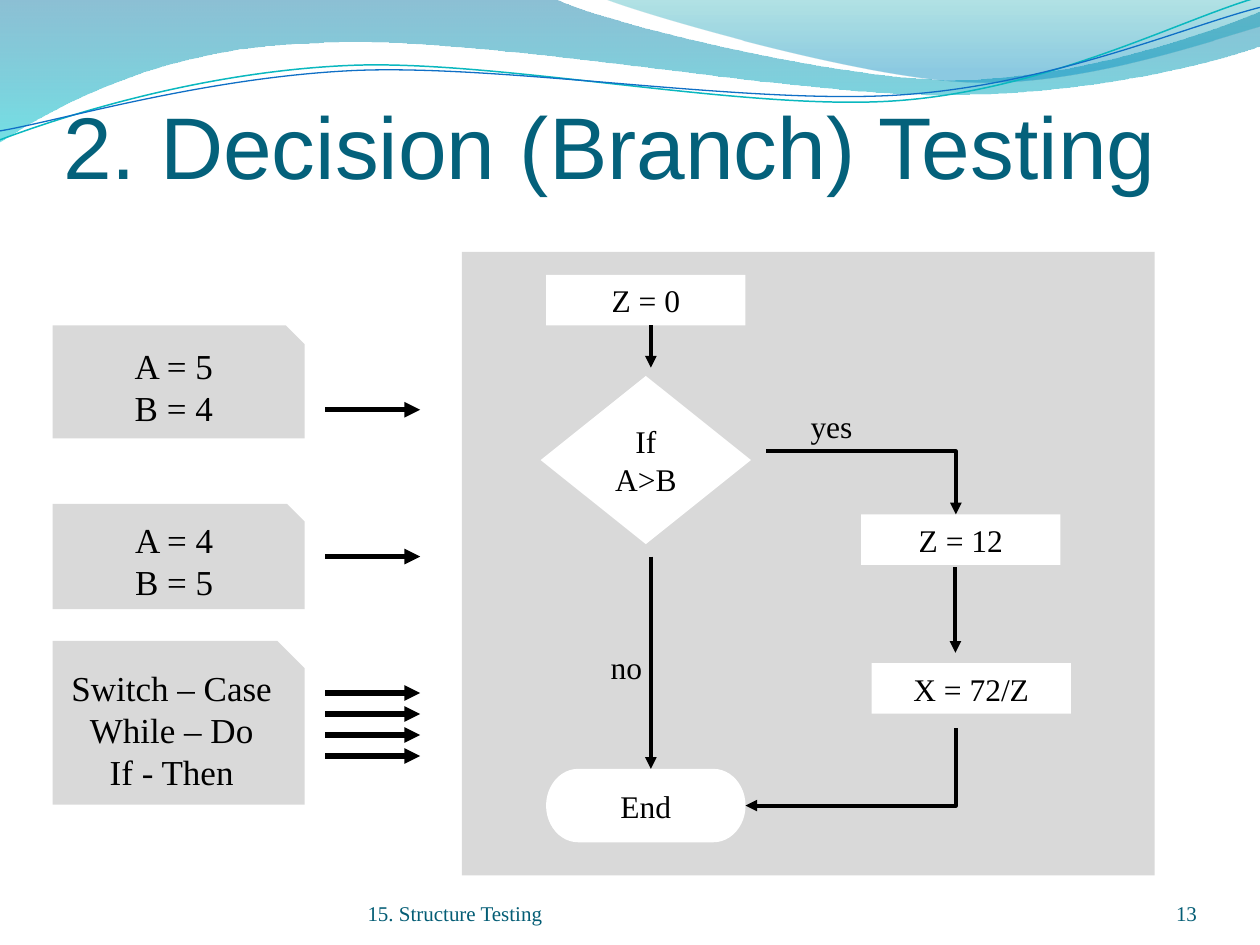
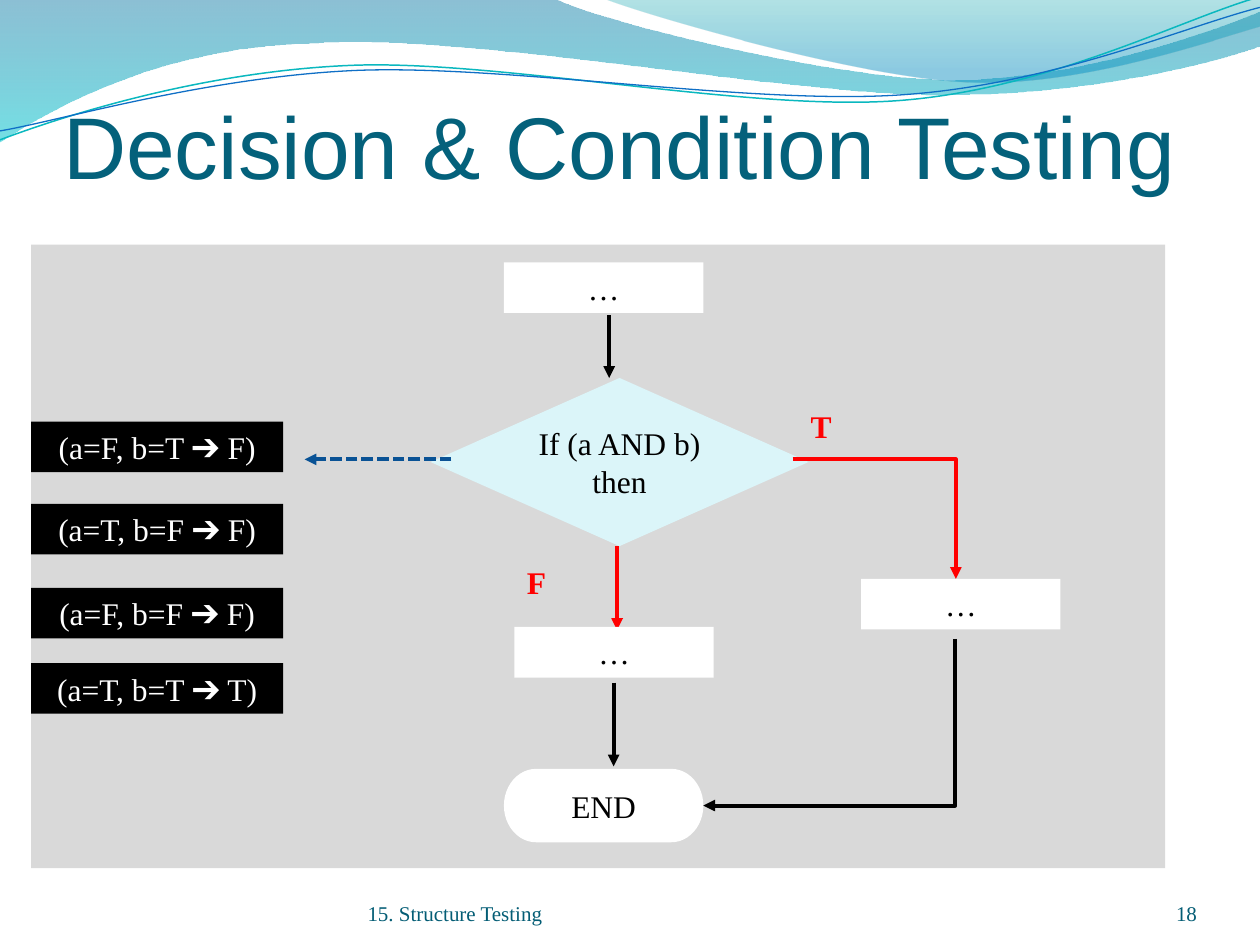
from dataclasses import dataclass
from functools import singledispatch
from itertools import islice

from lxml.etree import SubElement
from pptx import Presentation
from pptx.dml.color import RGBColor
from pptx.enum.dml import MSO_LINE_DASH_STYLE as Dash
from pptx.enum.shapes import MSO_CONNECTOR as Connector, MSO_SHAPE as Preset
from pptx.enum.text import MSO_ANCHOR as Anchor, MSO_AUTO_SIZE as AutoSize, PP_ALIGN as Align
from pptx.oxml.ns import qn
from pptx.presentation import Presentation as Deck
from pptx.shapes.autoshape import Shape
from pptx.slide import Slide
from pptx.text.text import TextFrame
from pptx.util import Cm, Pt

Point = tuple[float, float]


@dataclass(frozen=True)
class Theme:
    title_font: str = "Arial"
    body_font: str = "Times New Roman"
    title_size: float = 50
    case_size: float = 20
    node_size: float = 18
    footer_size: float = 12
    flow_width: float = 2.25
    case_width: float = 3
    title: str = "04617B"
    footer: str = "045D75"
    panel: str = "D9D9D9"
    decision: str = "DBF5F9"
    black: str = "000000"
    white: str = "FFFFFF"
    red: str = "FF0000"
    dashed: str = "095295"


THEME = Theme()


@dataclass(frozen=True)
class TextStyle:
    size: float = THEME.node_size
    color: str = THEME.black
    font: str = THEME.body_font
    align: Align = Align.CENTER
    bold: bool = False


@dataclass(frozen=True)
class Node:
    left: float
    top: float
    lines: tuple[str, ...] = ()
    width: float = 4.02
    height: float = 1.02
    preset: Preset = Preset.RECTANGLE
    fill: str = THEME.white
    style: TextStyle = TextStyle()


@dataclass(frozen=True)
class Label:
    left: float
    top: float
    text: str
    width: float = 1.65
    height: float = 1.02
    style: TextStyle = TextStyle(align=Align.LEFT)
    anchor: Anchor = Anchor.TOP
    margin: Point = (0.25, 0.13)


@dataclass(frozen=True)
class Arrow:
    start: Point
    end: Point
    color: str = THEME.black
    width: float = THEME.flow_width
    bend: int | None = None
    dashed: bool = False


@dataclass(frozen=True)
class GradientStop:
    position: float
    color: str
    opacity: int


@dataclass(frozen=True)
class Wave:
    start: Point
    segments: tuple[tuple[Point, ...], ...]
    stops: tuple[GradientStop, ...] = ()
    line_color: str = ""
    line_width: float = 0


Item = Node | Label | Arrow

ACROSS_FIRST = 100000
DOWN_FIRST = 0

WAVES = (
    Wave((0, 0), (
        ((11.18, -0.03),),
        ((12.09, 0.43), (16.87, 1.6), (19.25, 1.6)),
        ((21.67, 1.6), (24.33, 0.66), (25.4, 0.23)),
        ((25.43, 0.91),),
        ((24.97, 1.12), (22.1, 1.93), (18.95, 1.91)),
        ((15.8, 1.91), (9.7, 0.71), (6.53, 0.86)),
        ((3.28, 0.91), (1.17, 2.11), (-0.03, 2.87)),
        ((0, 0),),
    ), (GradientStop(0, "0074A1", 45), GradientStop(1, "00C6CF", 55))),
    Wave((12.17, -0.03), (
        ((12.93, 0.28), (17.32, 1.57), (19.53, 1.65)),
        ((21.74, 1.75), (24.41, 0.81), (25.4, 0.53)),
        ((25.4, 0),),
        ((12.17, -0.03),),
    ), (GradientStop(0, "00A1A9", 30), GradientStop(0.8, "008BBF", 45))),
    Wave((0, 2.82), (
        ((1.22, 2.36), (4.01, 1.45), (7.04, 1.32)),
        ((10.03, 1.19), (15.06, 2.26), (18.11, 2.03)),
        ((21.16, 1.8), (23.83, 0.38), (25.35, -0.05)),
    ), line_color="0AB8BF", line_width=0.85),
    Wave((0, 2.64), (
        ((1.19, 2.44), (4.17, 1.55), (7.19, 1.42)),
        ((10.24, 1.3), (15.16, 2.13), (18.21, 1.91)),
        ((21.23, 1.7), (23.9, 0.53), (25.4, 0.15)),
    ), line_color="0F6FC6", line_width=0.75),
)


def rgb(color: str) -> RGBColor:
    return RGBColor.from_string(color)


def write(frame: TextFrame, lines: tuple[str, ...], style: TextStyle) -> None:
    frame.word_wrap = True
    for index, line in enumerate(lines):
        para = frame.add_paragraph() if index else frame.paragraphs[0]
        para.alignment = style.align
        span = para.add_run()
        span.text = line
        span.font.name = style.font
        span.font.size = Pt(style.size)
        span.font.bold = style.bold
        span.font.color.rgb = rgb(style.color)


def set_margins(frame: TextFrame, across: float, down: float) -> None:
    frame.margin_left = frame.margin_right = Cm(across)
    frame.margin_top = frame.margin_bottom = Cm(down)


@singledispatch
def draw(item: Item, page: Slide) -> None:
    raise TypeError(item)


@draw.register
def draw_node(node: Node, page: Slide) -> None:
    box = page.shapes.add_shape(
        node.preset, Cm(node.left), Cm(node.top), Cm(node.width), Cm(node.height))
    box.shadow.inherit = False
    box.fill.solid()
    box.fill.fore_color.rgb = rgb(node.fill)
    box.line.fill.background()
    box.text_frame.vertical_anchor = Anchor.MIDDLE
    write(box.text_frame, node.lines, node.style)


@draw.register
def draw_label(label: Label, page: Slide) -> None:
    box = page.shapes.add_textbox(
        Cm(label.left), Cm(label.top), Cm(label.width), Cm(label.height))
    box.text_frame.vertical_anchor = label.anchor
    set_margins(box.text_frame, *label.margin)
    write(box.text_frame, (label.text,), label.style)


@draw.register
def draw_arrow(arrow: Arrow, page: Slide) -> None:
    kind = Connector.STRAIGHT if arrow.bend is None else Connector.ELBOW
    ends = [Cm(value) for value in arrow.start + arrow.end]
    connector = page.shapes.add_connector(kind, *ends)
    connector.line.color.rgb = rgb(arrow.color)
    connector.line.width = Pt(arrow.width)
    if arrow.dashed:
        connector.line.dash_style = Dash.SQUARE_DOT
    properties = connector.element.spPr
    SubElement(properties.find(qn("a:ln")), qn("a:tailEnd"), type="triangle")
    SubElement(properties, qn("a:effectLst"))
    if arrow.bend is not None:
        guides = properties.find(qn("a:prstGeom")).get_or_add_avLst()
        SubElement(guides, qn("a:gd"), name="adj1", fmla=f"val {arrow.bend}")


def curve_segments(shape: Shape, wave: Wave) -> None:
    steps = iter(list(shape.element.spPr.iter(qn("a:lnTo"))))
    for segment in wave.segments:
        first, *others = islice(steps, len(segment))
        if others:
            first.tag = qn("a:cubicBezTo")
        for step in others:
            first.append(step[0])
            step.getparent().remove(step)


def draw_wave(wave: Wave, page: Slide) -> Shape:
    corners = [(Cm(x), Cm(y)) for segment in wave.segments for x, y in segment]
    builder = page.shapes.build_freeform(*(Cm(value) for value in wave.start))
    builder.add_line_segments(corners, close=bool(wave.stops))
    shape = builder.convert_to_shape()
    curve_segments(shape, wave)
    shape.shadow.inherit = False
    if not wave.stops:
        shape.fill.background()
        shape.line.color.rgb = rgb(wave.line_color)
        shape.line.width = Pt(wave.line_width)
        return shape
    shape.line.fill.background()
    shape.fill.gradient()
    shape.fill.gradient_angle = 270
    for target, stop in zip(shape.fill.gradient_stops, wave.stops):
        target.position = stop.position
        target.color.rgb = rgb(stop.color)
    for color, stop in zip(shape.element.spPr.iter(qn("a:srgbClr")), wave.stops):
        SubElement(color, qn("a:alpha"), val=str(stop.opacity * 1000))
    return shape


def decorate_master(deck: Deck, page: Slide) -> None:
    tree = deck.slide_master.shapes.element
    for index, wave in enumerate(WAVES):
        element = draw_wave(wave, page).element
        element.nvSpPr.cNvPr.set("id", str(100 + index))
        tree.insert(2 + index, element)


def fill_page(page: Slide, title: str, number: int, items: list[Item]) -> None:
    heading = page.shapes.title
    heading.left, heading.top = Cm(1.27), Cm(1.69)
    heading.width, heading.height = Cm(22.86), Cm(2.29)
    frame = heading.text_frame
    frame.auto_size = AutoSize.NONE
    frame.vertical_anchor = Anchor.BOTTOM
    set_margins(frame, 0, 0)
    write(frame, (title,), TextStyle(
        THEME.title_size, THEME.title, THEME.title_font, Align.LEFT))
    footers = ((7.41, 9.32, "15. Structure Testing", Align.LEFT),
               (22.02, 2.11, str(number), Align.RIGHT))
    for left, width, text, align in footers:
        style = TextStyle(THEME.footer_size, THEME.footer, align=align)
        draw(Label(left, 17.65, text, width, 1.02, style, Anchor.BOTTOM, (0, 0)), page)
    for item in items:
        draw(item, page)


def diamond(left: float, top: float, width: float, text: str, fill: str) -> Node:
    return Node(left, top, (text,), width, 3.39, Preset.DIAMOND, fill)


def terminator(left: float, text: str) -> Node:
    return Node(left, 15.5, (text,), height=1.48, preset=Preset.FLOWCHART_TERMINATOR)


def case_card(top: float, height: float, *lines: str) -> Node:
    return Node(1.06, top, lines, 5.08, height, Preset.SNIP_1_RECTANGLE,
                THEME.panel, TextStyle(THEME.case_size))


def branch_items() -> list[Item]:
    arrow_rows = [8.26, 11.22] + [13.97 + 1.27 * row / 3 for row in range(4)]
    return [
        Node(9.31, 5.08, width=13.97, height=12.57, fill=THEME.panel),
        Node(11.01, 5.54, ("Z = 0",)),
        Node(17.36, 10.37, ("Z = 12",)),
        Node(17.57, 13.37, ("X = 72/Z",)),
        diamond(10.9, 7.58, 4.24, "If A>B", THEME.white),
        terminator(11.01, "End"),
        Arrow((13.12, 11.22), (13.12, 15.5)),
        Arrow((19.26, 11.43), (19.26, 13.16)),
        Arrow((13.12, 6.56), (13.12, 7.41)),
        Arrow((15.45, 9.1), (19.27, 10.37), bend=ACROSS_FIRST),
        Arrow((19.27, 14.68), (15.03, 16.24), bend=DOWN_FIRST),
        Label(16.09, 8.08, "yes"),
        Label(12.06, 12.94, "no", 1.48),
        case_card(6.56, 2.28, "A = 5", "B = 4"),
        case_card(10.16, 2.12, "A = 4", "B = 5"),
        case_card(12.92, 3.3, "Switch – Case", "While – Do", "If - Then"),
        *(Arrow((6.56, y), (8.47, y), width=THEME.case_width) for y in arrow_rows),
    ]


def condition_items() -> list[Item]:
    outcome = TextStyle(color=THEME.red, align=Align.LEFT, bold=True)
    truth_rows = ((8.5, "(a=F, b=T ➔ F)"), (10.16, "(a=T, b=F ➔ F)"),
                  (11.85, "(a=F, b=F ➔ F)"), (13.37, "(a=T, b=T ➔ T)"))
    return [
        Node(0.63, 4.93, width=22.86, height=12.57, fill=THEME.panel),
        Node(10.16, 5.29, ("…",)),
        Node(17.36, 11.67, ("…",)),
        diamond(8.68, 7.62, 7.62, "If (a AND b) then", THEME.decision),
        terminator(10.16, "END"),
        Arrow((12.44, 11.01), (12.44, 12.7), THEME.red),
        Arrow((12.28, 6.36), (12.28, 7.62)),
        Arrow((15.98, 9.26), (19.27, 11.67), THEME.red, bend=ACROSS_FIRST),
        Arrow((19.26, 12.88), (14.18, 16.24), bend=DOWN_FIRST),
        Label(16.09, 8.08, "T", style=outcome),
        Label(10.37, 11.22, "F", 1.48, style=outcome),
        Node(10.37, 12.64, ("…",)),
        Arrow((12.37, 13.76), (12.37, 15.45)),
        Arrow((9.1, 9.26), (6.14, 9.26), THEME.dashed, dashed=True),
        *(Node(0.63, top, (text,), 5.08, fill=THEME.black,
               style=TextStyle(color=THEME.white)) for top, text in truth_rows),
    ]


def main() -> None:
    deck = Presentation()
    deck.slide_width, deck.slide_height = Cm(25.4), Cm(19.05)
    title_only = deck.slide_layouts[5]
    branch_page = deck.slides.add_slide(title_only)
    condition_page = deck.slides.add_slide(title_only)
    decorate_master(deck, branch_page)
    fill_page(branch_page, "2. Decision (Branch) Testing", 13, branch_items())
    fill_page(condition_page, "Decision & Condition Testing", 18, condition_items())
    deck.save("out.pptx")


if __name__ == "__main__":
    main()
